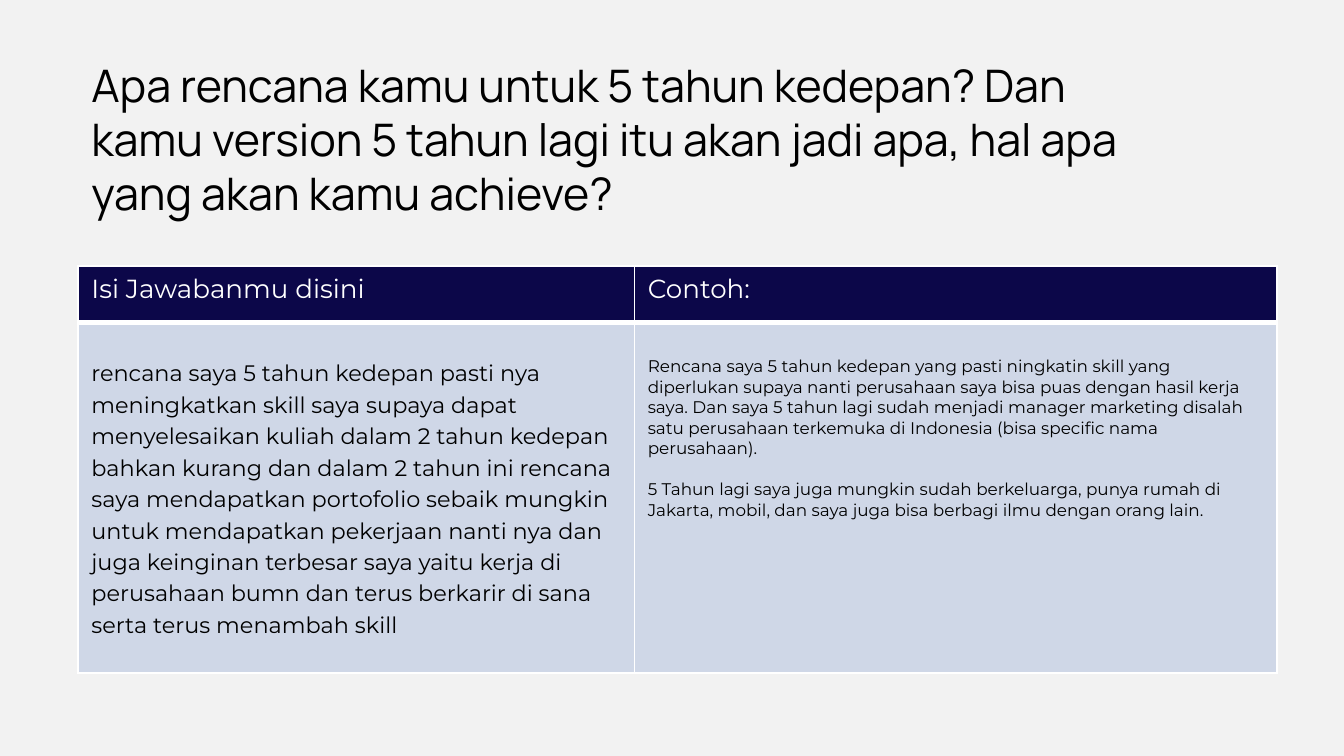
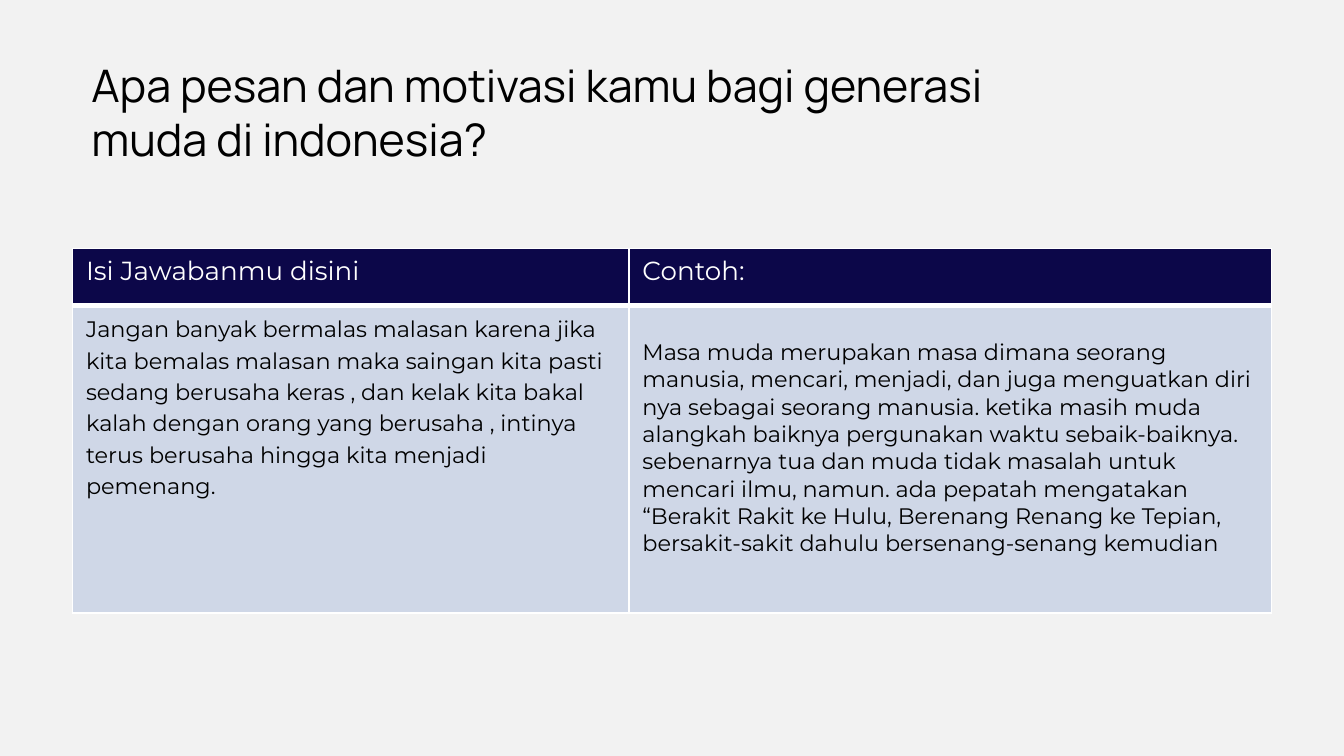
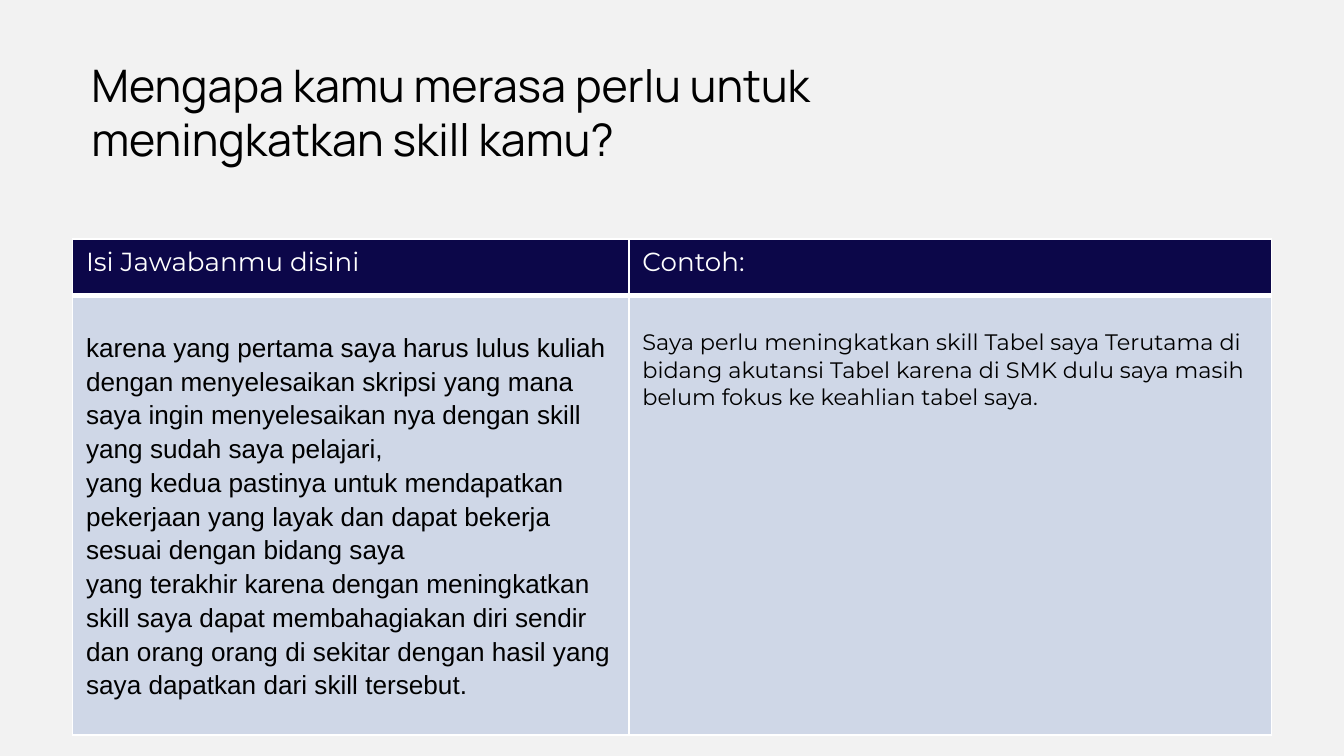
import pptx
import pptx.util
import pptx.dml.color
import pptx.enum.text
import pptx.oxml.ns
from lxml import etree

Inches, Pt = pptx.util.Inches, pptx.util.Pt

COLORS = {"page": "F2F2F2", "header": "0C0749", "body": "CFD7E7",
          "ink": "000000", "white": "FFFFFF"}
TITLE_FONT, TEXT_FONT, PLAIN_FONT = "Manrope", "Montserrat", "Arial"

# Content: each answer or example is a list of paragraphs plus its style
HEADERS = ["Isi Jawabanmu disini", "Contoh:"]
SLIDES = [
    {
        "title": "Apa rencana kamu untuk 5 tahun kedepan? Dan kamu version 5 tahun lagi itu akan jadi apa, "
                 "hal apa yang akan kamu achieve?",
        "title_size": (7.85, 1.37), "table_at": (0.58, 1.98), "body_height": 2.61,
        "answer": {"size": 12, "spacing": 1.15, "text": [
            "rencana saya 5 tahun kedepan pasti nya meningkatkan skill saya supaya dapat menyelesaikan "
            "kuliah dalam 2 tahun kedepan bahkan kurang dan dalam 2 tahun ini rencana saya mendapatkan "
            "portofolio sebaik mungkin untuk mendapatkan pekerjaan nanti nya dan juga keinginan terbesar "
            "saya yaitu kerja di perusahaan bumn dan terus berkarir di sana serta terus menambah skill"]},
        "example": {"size": 9, "gap": 11, "text": [
            "Rencana saya 5 tahun kedepan yang pasti ningkatin skill yang diperlukan supaya nanti "
            "perusahaan saya bisa puas dengan hasil kerja saya. Dan saya 5 tahun lagi sudah menjadi "
            "manager marketing disalah satu perusahaan terkemuka di Indonesia (bisa specific nama "
            "perusahaan).",
            "5 Tahun lagi saya juga mungkin sudah berkeluarga, punya rumah di Jakarta, mobil, dan saya "
            "juga bisa berbagi ilmu dengan orang lain."]},
    },
    {
        "title": "Apa pesan dan motivasi kamu bagi generasi muda di indonesia?",
        "title_size": (7, 0.56), "table_at": (0.54, 1.85), "body_height": 2.29,
        "answer": {"size": 12, "spacing": 1.15, "top": 0.05, "text": [
            "Jangan banyak bermalas malasan karena jika kita bemalas malasan maka saingan kita pasti "
            "sedang berusaha keras , dan kelak kita bakal kalah dengan orang yang berusaha , intinya "
            "terus berusaha hingga kita menjadi pemenang."]},
        "example": {"size": 12, "text": [
            "Masa muda merupakan masa dimana seorang manusia, mencari, menjadi, dan juga menguatkan diri "
            "nya sebagai seorang manusia. ketika masih muda alangkah baiknya pergunakan waktu "
            "sebaik-baiknya. sebenarnya tua dan muda tidak masalah untuk mencari ilmu, namun. ada "
            "pepatah mengatakan “Berakit Rakit ke Hulu, Berenang Renang ke Tepian, bersakit-sakit "
            "dahulu bersenang-senang kemudian"]},
    },
    {
        "title": "Mengapa kamu merasa perlu untuk meningkatkan skill kamu?",
        "title_size": (7, 1.1), "table_at": (0.54, 1.78), "body_height": 3.27,
        "answer": {"size": 14, "spacing": 1.15, "font": PLAIN_FONT, "text": [
            "karena yang pertama saya harus lulus kuliah dengan menyelesaikan skripsi yang mana saya "
            "ingin menyelesaikan nya dengan skill yang sudah saya pelajari,",
            "yang kedua pastinya untuk mendapatkan pekerjaan yang layak dan dapat bekerja sesuai dengan "
            "bidang saya",
            "yang terakhir karena dengan meningkatkan skill saya dapat membahagiakan diri sendir dan "
            "orang orang di sekitar dengan hasil yang saya dapatkan dari skill tersebut."]},
        "example": {"size": 12, "text": [
            "Saya perlu meningkatkan skill Tabel saya Terutama di bidang akutansi Tabel karena di SMK "
            "dulu saya masih belum fokus ke keahlian tabel saya."]},
    },
]

# Shared layout, in inches
SLIDE_WIDTH = 10
TITLE_AT = (0.58, 0.38)
COLUMNS = (4.14, 4.78)
HEADER_HEIGHT = 0.42
BODY_TOP = 0.25
PAD_X, PAD_Y = 0.1, 0.05


def rgb(name):
    return pptx.dml.color.RGBColor.from_string(COLORS[name])


def style_runs(p, font, size, color):
    for r in p.runs:
        r.font.name, r.font.size, r.font.bold = font, Pt(size), False
        r.font.color.rgb = rgb(color)


def set_margins(box, top=PAD_Y):
    box.margin_left = box.margin_right = Inches(PAD_X)
    box.margin_top, box.margin_bottom = Inches(top), Inches(PAD_Y)


def set_borders(cell, widths):
    qn = pptx.oxml.ns.qn
    tc_pr = cell._tc.get_or_add_tcPr()
    for side, width in widths.items():
        ln = etree.SubElement(tc_pr, qn("a:ln" + side), w=str(Pt(width)))
        fill = etree.SubElement(ln, qn("a:solidFill"))
        etree.SubElement(fill, qn("a:srgbClr"), val=COLORS["white"])


def fill_cell(cell, content, fill, color, row_lines):
    set_margins(cell, content.get("top", BODY_TOP))
    set_borders(cell, {"L": 1, "R": 1, **row_lines})
    cell.fill.solid()
    cell.fill.fore_color.rgb = rgb(fill)
    tf = cell.text_frame
    tf.text = "\n".join(content["text"])
    for i, p in enumerate(tf.paragraphs):
        p.line_spacing = content.get("spacing", 1.0)
        if i:
            p.space_before = Pt(content.get("gap", 0))
        style_runs(p, content.get("font", TEXT_FONT), content["size"], color)


def add_title(s, text, size):
    sp = s.shapes.title
    sp.left, sp.top, sp.width, sp.height = map(Inches, TITLE_AT + size)
    tf = sp.text_frame
    tf.text = text
    tf.word_wrap = True
    tf.auto_size = pptx.enum.text.MSO_AUTO_SIZE.NONE
    tf.vertical_anchor = pptx.enum.text.MSO_ANCHOR.TOP
    set_margins(tf)
    p = tf.paragraphs[0]
    p.alignment = pptx.enum.text.PP_ALIGN.LEFT
    style_runs(p, TITLE_FONT, 24, "ink")


def add_answer_table(s, at, body_height, bodies):
    heights = (HEADER_HEIGHT, body_height)
    size = (sum(COLUMNS), sum(heights))
    table = s.shapes.add_table(2, 2, *map(Inches, at + size)).table
    for row, height in zip(table.rows, heights):
        row.height = Inches(height)
    for i, (width, header, body) in enumerate(zip(COLUMNS, HEADERS, bodies)):
        table.columns[i].width = Inches(width)
        head = {"text": [header], "size": 14, "top": PAD_Y}
        fill_cell(table.cell(0, i), head, "header", "white", {"T": 1, "B": 3})
        fill_cell(table.cell(1, i), body, "body", "ink", {"T": 3, "B": 1})


def main():
    prs = pptx.Presentation()
    prs.slide_width = Inches(SLIDE_WIDTH)
    prs.slide_height = Inches(SLIDE_WIDTH * 9 / 16)
    background = prs.slide_master.background.fill
    background.solid()
    background.fore_color.rgb = rgb("page")
    title_only = prs.slide_layouts.get_by_name("Title Only")
    for page in SLIDES:
        s = prs.slides.add_slide(title_only)
        add_title(s, page["title"], page["title_size"])
        add_answer_table(s, page["table_at"], page["body_height"],
                         (page["answer"], page["example"]))
    prs.save("out.pptx")


if __name__ == "__main__":
    main()
